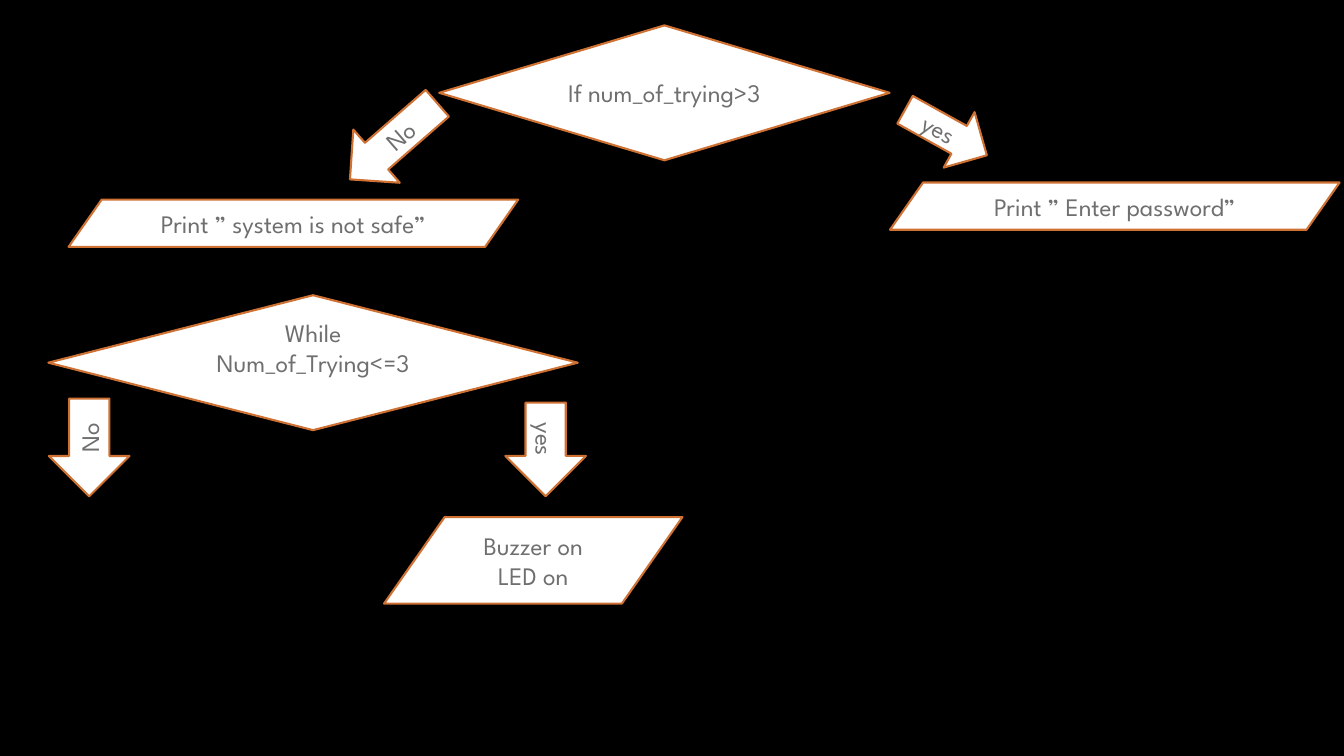
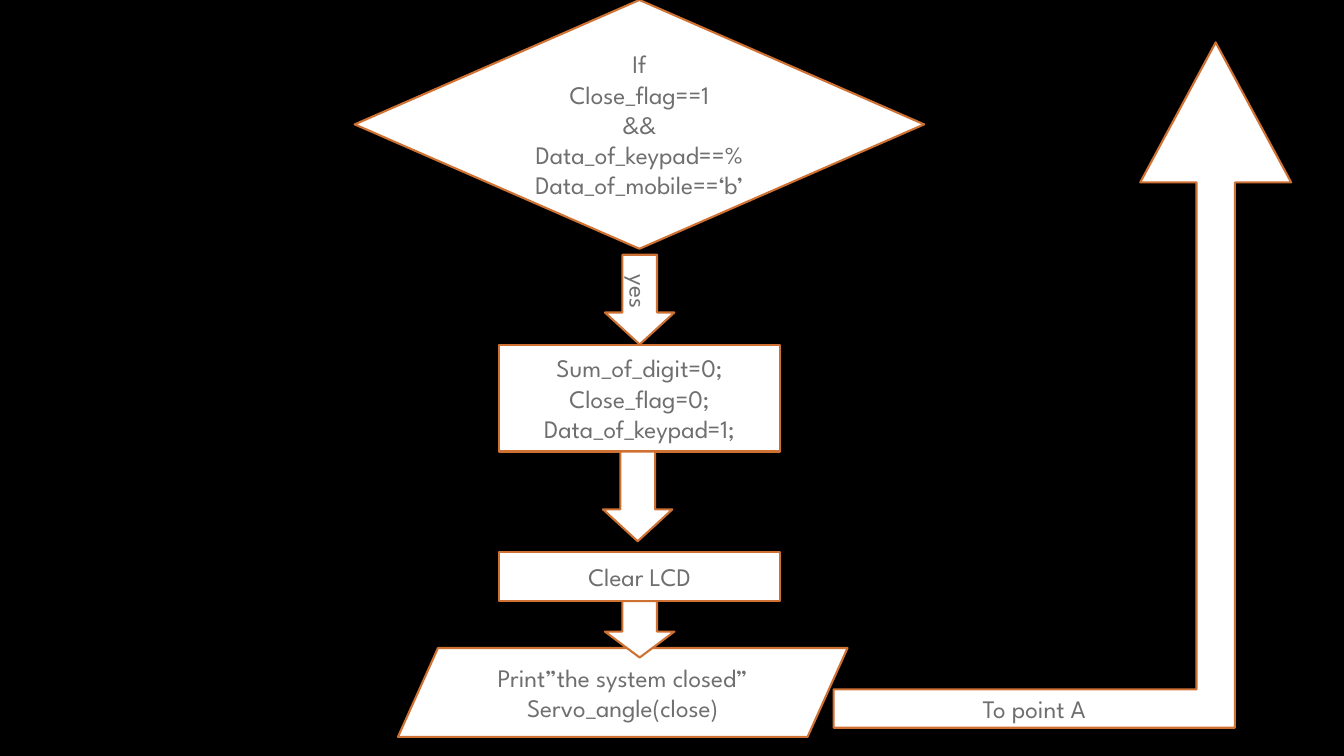
from dataclasses import dataclass

from pptx import Presentation
from pptx.dml.color import RGBColor
from pptx.enum.shapes import MSO_SHAPE
from pptx.enum.text import MSO_ANCHOR, PP_ALIGN
from pptx.slide import Slide
from pptx.util import Cm, Pt

DIAMOND = MSO_SHAPE.DIAMOND
PARALLELOGRAM = MSO_SHAPE.PARALLELOGRAM
RECTANGLE = MSO_SHAPE.RECTANGLE
LEFT_ARROW = MSO_SHAPE.LEFT_ARROW
RIGHT_ARROW = MSO_SHAPE.RIGHT_ARROW
BENT_ARROW = MSO_SHAPE.BENT_UP_ARROW
CENTER = PP_ALIGN.CENTER
MIDDLE = MSO_ANCHOR.MIDDLE

BLACK = RGBColor(0x00, 0x00, 0x00)
WHITE = RGBColor(0xFF, 0xFF, 0xFF)
ORANGE = RGBColor(0xCF, 0x71, 0x33)
GREY = RGBColor(0x6F, 0x6F, 0x6F)
FONT = "League Spartan"

OUTPUT_WIDTH = 11.33
OUTPUT_HEIGHT = 1.19
OUTPUT_SLANT = (0.7,)
DECISION_HEIGHT = 3.4
BRANCH_WIDTH = 2.03
STEP_WIDTH = 7.09
FLOW_WIDTH = 1.75
FLOW_HEAD = (0.5, 0.46)
CLOSE_AXIS = 16.12


@dataclass(frozen=True)
class Node:
    """One flowchart symbol; lengths in centimetres, measured before rotation."""

    kind: MSO_SHAPE
    left: float
    top: float
    width: float
    height: float
    lines: tuple[str, ...] = ()
    rotation: float = 0
    adjustments: tuple[float, ...] = ()
    bottom_inset: float = 0.13


def step(top: float, height: float, *lines: str) -> Node:
    """Process box centred on the closing flow."""
    return Node(RECTANGLE, CLOSE_AXIS - STEP_WIDTH / 2, top, STEP_WIDTH, height, lines)


def flow_down(top: float, length: float, *lines: str, axis: float = CLOSE_AXIS) -> Node:
    """Right arrow turned to point down, its tail starting at top."""
    return Node(RIGHT_ARROW, axis - length / 2, top + (length - FLOW_WIDTH) / 2,
                length, FLOW_WIDTH, lines, 90, FLOW_HEAD)


ATTEMPTS = (
    Node(DIAMOND, 11.07, 0.64, 11.35, DECISION_HEIGHT, ("If num_of_trying>3",)),
    Node(RIGHT_ARROW, 22.66, 2.54, 2.36, 1.6, ("yes",), 29.1),
    Node(PARALLELOGRAM, 22.43, 4.6, OUTPUT_WIDTH, OUTPUT_HEIGHT,
         ("Print ” Enter password”",), adjustments=OUTPUT_SLANT),
    Node(LEFT_ARROW, 8.46, 2.67, 2.92, 1.78, ("No",), 318.9),
    Node(PARALLELOGRAM, 1.73, 5.03, OUTPUT_WIDTH, OUTPUT_HEIGHT,
         ("Print ” system is not safe”",), adjustments=OUTPUT_SLANT),
    Node(DIAMOND, 1.22, 7.44, 13.34, DECISION_HEIGHT,
         ("While", "Num_of_Trying<=3"), bottom_inset=0.89),
    Node(RIGHT_ARROW, 12.57, 10.31, 2.36, BRANCH_WIDTH, ("yes",), 90),
    Node(PARALLELOGRAM, 9.68, 13.03, 7.52, 2.18,
         ("Buzzer on", "LED on"), adjustments=OUTPUT_SLANT),
    Node(LEFT_ARROW, 1.02, 10.26, 2.46, BRANCH_WIDTH, ("No",), 270),
)

CLOSING = (
    Node(DIAMOND, 8.94, 0, 14.35, 6.27,
         ("If", "Close_flag==1", "&&", "Data_of_keypad==%", "Data_of_mobile==‘b’")),
    flow_down(6.42, 2.26, "yes"),
    step(8.69, 2.69, "Sum_of_digit=0;", "Close_flag=0;", "Data_of_keypad=1;"),
    flow_down(11.38, 2.26, axis=16.07),
    step(13.92, 1.22, "Clear LCD"),
    Node(PARALLELOGRAM, 10.03, 16.33, OUTPUT_WIDTH, 2.24,
         ("Print”the system closed”", "Servo_angle(close)"), adjustments=(0.45,)),
    flow_down(15.15, 1.42),
    Node(BENT_ARROW, 21.01, 1.07, 11.53, 17.27, ("To point A",),
         adjustments=(0.084, 0.165, 0.306)),
)


def draw_node(slide: Slide, node: Node) -> None:
    shape = slide.shapes.add_shape(
        node.kind, Cm(node.left), Cm(node.top), Cm(node.width), Cm(node.height))
    shape.rotation = node.rotation
    shape.shadow.inherit = False
    for index, value in enumerate(node.adjustments):
        shape.adjustments[index] = value
    shape.fill.solid()
    shape.fill.fore_color.rgb = WHITE
    shape.line.color.rgb = ORANGE
    shape.line.width = Pt(1.5)

    frame = shape.text_frame
    frame.word_wrap = True
    frame.vertical_anchor = MIDDLE
    frame.margin_bottom = Cm(node.bottom_inset)
    for index, line in enumerate(node.lines):
        paragraph = frame.add_paragraph() if index else frame.paragraphs[0]
        paragraph.alignment = CENTER
        run = paragraph.add_run()
        run.text = line
        run.font.name = FONT
        run.font.size = Pt(18)
        run.font.color.rgb = GREY


def main() -> None:
    deck = Presentation()
    deck.slide_width, deck.slide_height = Cm(33.87), Cm(19.05)
    backdrop = deck.slide_master.background.fill
    backdrop.solid()
    backdrop.fore_color.rgb = BLACK
    blank = deck.slide_layouts[6]
    for chart in (ATTEMPTS, CLOSING):
        slide = deck.slides.add_slide(blank)
        for node in chart:
            draw_node(slide, node)
    deck.save("out.pptx")


if __name__ == "__main__":
    main()
